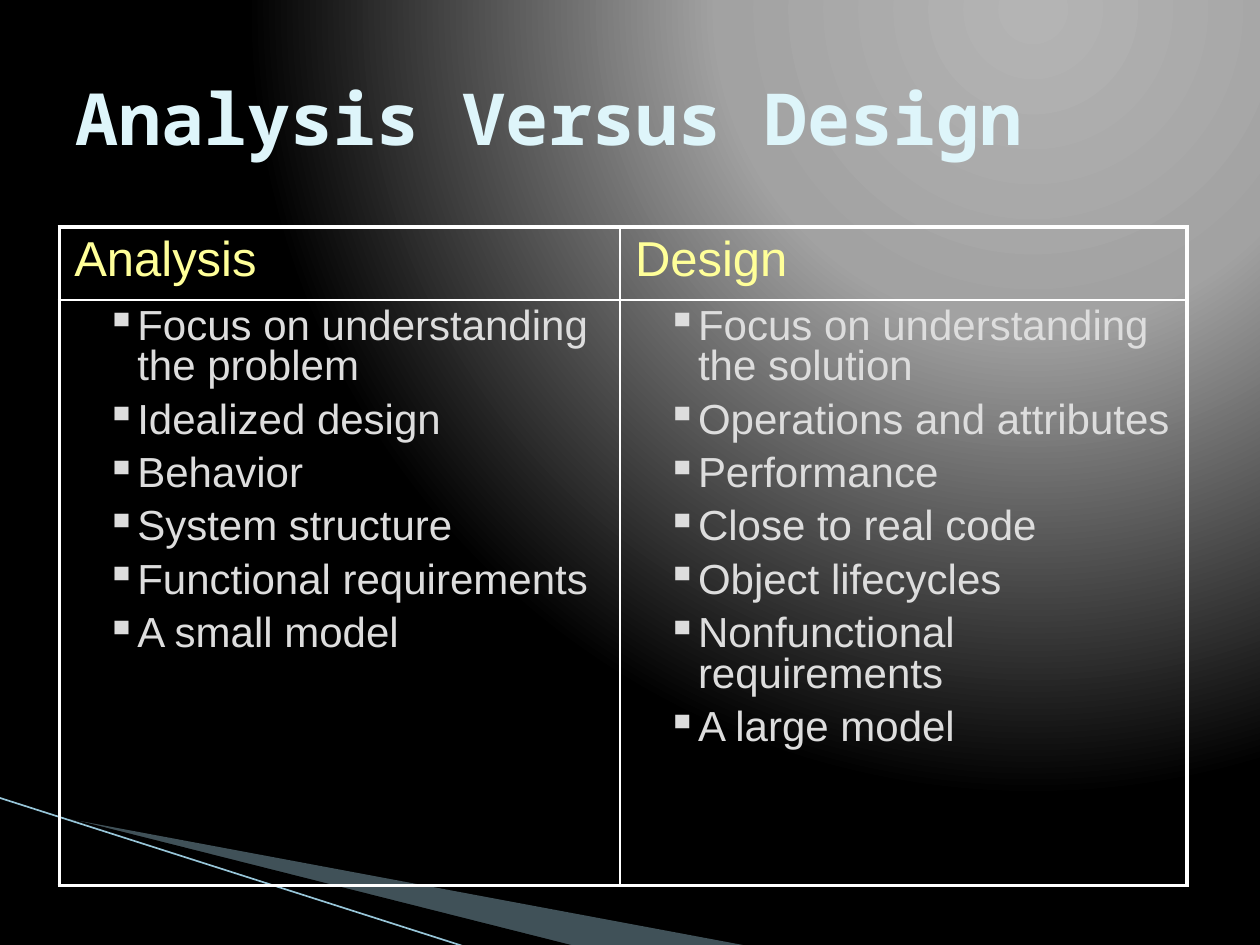
from dataclasses import dataclass

from pptx import Presentation
from pptx.dml.color import RGBColor as RGB
from pptx.enum.shapes import MSO_CONNECTOR as CONNECTOR
from pptx.enum.text import MSO_ANCHOR as ANCHOR, PP_ALIGN as ALIGN
from pptx.oxml import parse_xml
from pptx.oxml.ns import nsdecls
from pptx.util import Inches, Pt

NS = nsdecls("a", "p")


@dataclass(frozen=True)
class Theme:
    """Colours, fonts and sizes of the slide."""
    glow: tuple = ((0, "B4B4B4"), (40, "A2A2A2"), (100, "000000"))
    title: str = "DEF5FA"
    heading: str = "FFFF99"
    body: str = "DDDDDD"
    border: str = "FFFFFF"
    wedge: str = "A0CBDC"
    shade: str = "000000"
    streak: str = "97C5D8"
    title_font: str = "Noto Sans Mono"
    body_font: str = "Arial"
    title_pt: int = 41
    heading_pt: int = 28
    body_pt: int = 24
    outer_pt: float = 2.25
    inner_pt: float = 1
    streak_pt: float = 0.95


T = Theme()

COLUMNS = {
    "Analysis": [
        "Focus on understanding the problem", "Idealized design", "Behavior",
        "System structure", "Functional requirements", "A small model"],
    "Design": [
        "Focus on understanding the solution", "Operations and attributes",
        "Performance", "Close to real code", "Object lifecycles",
        "Nonfunctional requirements", "A large model"],
}


def style_run(p, font, size, color, bold=False):
    """Format the single run of a paragraph."""
    f = p.runs[0].font
    f.name, f.size, f.bold = font, Pt(size), bold
    f.color.rgb = RGB.from_string(color)


def add_background(s):
    """Fill the slide with a radial glow from the upper right."""
    stops = "".join(
        f'<a:gs pos="{pos * 1000}"><a:srgbClr val="{c}"/></a:gs>' for pos, c in T.glow)
    s._element.cSld.insert(0, parse_xml(
        f'<p:bg {NS}><p:bgPr><a:gradFill rotWithShape="1"><a:gsLst>{stops}</a:gsLst>'
        '<a:path path="circle"><a:fillToRect l="65000" t="0" r="0" b="98000"/></a:path>'
        '</a:gradFill><a:effectLst/></p:bgPr></p:bg>'))


def add_wedge(s, points, color, alpha=None):
    """Draw a closed, unlined polygon through points in inches."""
    start, *rest = [(Inches(x), Inches(y)) for x, y in points]
    builder = s.shapes.build_freeform(*start)
    builder.add_line_segments(rest, close=True)
    sp = builder.convert_to_shape()
    sp.shadow.inherit = False
    sp.fill.solid()
    sp.fill.fore_color.rgb = RGB.from_string(color)
    sp.line.fill.background()
    if alpha is not None:
        clr = sp._element.spPr.find(".//{*}solidFill/{*}srgbClr")
        clr.append(parse_xml(f'<a:alpha {NS} val="{alpha * 1000}"/>'))


def add_corner(s):
    """Draw the wedges and the streak in the lower left corner."""
    add_wedge(s, [(0.55, 6.5), (5.95, 7.51), (4.56, 7.51)], T.wedge, alpha=40)
    add_wedge(s, [(0.53, 6.49), (4.57, 7.51), (3.72, 7.52)], T.shade)
    streak = s.shapes.add_connector(
        CONNECTOR.STRAIGHT, Inches(-0.01), Inches(6.33), Inches(3.71), Inches(7.52))
    streak.line.color.rgb = RGB.from_string(T.streak)
    streak.line.width = Pt(T.streak_pt)
    streak._element.spPr.append(parse_xml(f'<a:effectLst {NS}/>'))


def add_title(s, text, box):
    """Place the title placeholder in its box, above the corner art."""
    sp = s.shapes.title
    sp.left, sp.top, sp.width, sp.height = map(Inches, box)
    s.shapes._spTree.append(sp._element)
    tf = sp.text_frame
    tf.text = text
    tf.vertical_anchor = ANCHOR.MIDDLE
    p = tf.paragraphs[0]
    p.alignment = ALIGN.LEFT
    style_run(p, T.title_font, T.title_pt, T.title, bold=True)


def space_paragraph(p, lines):
    """Set line spacing and a gap of 30% before the paragraph."""
    p.line_spacing = lines
    pPr = p._p.get_or_add_pPr()
    pPr.append(parse_xml(f'<a:spcBef {NS}><a:spcPct val="30000"/></a:spcBef>'))
    return pPr


def fill_heading(cell, text):
    """Write a column heading."""
    cell.text_frame.text = text
    cell.vertical_anchor = ANCHOR.MIDDLE
    p = cell.text_frame.paragraphs[0]
    space_paragraph(p, 0.8)
    style_run(p, T.body_font, T.heading_pt, T.heading)


def fill_list(cell, items):
    """Write a bulleted list."""
    cell.text_frame.text = "\n".join(items)
    for p in cell.text_frame.paragraphs:
        p.level = 1
        pPr = space_paragraph(p, 0.87)
        pPr.set("marL", str(Inches(0.5)))
        pPr.set("indent", str(Inches(-0.25)))
        pPr.append(parse_xml(f'<a:buClr {NS}><a:srgbClr val="{T.body}"/></a:buClr>'))
        pPr.append(parse_xml(f'<a:buChar {NS} char="▪"/>'))
        style_run(p, T.body_font, T.body_pt, T.body)


def frame_cell(cell, outer):
    """Set margins, borders and no fill; outer names the thick sides."""
    cell.margin_left = cell.margin_right = Inches(0.12)
    cell.margin_top = cell.margin_bottom = Inches(0.06)
    tcPr = cell._tc.get_or_add_tcPr()
    for side in "LRTB":
        width = Pt(T.outer_pt if side in outer else T.inner_pt)
        tcPr.append(parse_xml(
            f'<a:ln{side} {NS} w="{width}"><a:solidFill><a:srgbClr val="{T.border}"/>'
            f'</a:solidFill></a:ln{side}>'))
    cell.fill.background()


def add_comparison(s, columns, box, widths, heights):
    """Build a table with one heading and one list in each column."""
    table = s.shapes.add_table(2, len(columns), *map(Inches, box)).table
    table.first_row = table.horz_banding = False
    for row, height in zip(table.rows, heights):
        row.height = Inches(height)
    last = len(columns) - 1
    for i, (heading, items) in enumerate(columns.items()):
        table.columns[i].width = Inches(widths[i])
        head, body = table.cell(0, i), table.cell(1, i)
        fill_heading(head, heading)
        fill_list(body, items)
        sides = ("L" if i == 0 else "") + ("R" if i == last else "")
        frame_cell(head, sides + "T")
        frame_cell(body, sides + "B")


def main():
    """Build and save the slide."""
    prs = Presentation()
    prs.slide_width, prs.slide_height = Inches(10), Inches(7.5)
    s = prs.slides.add_slide(prs.slide_layouts[5])
    add_background(s)
    add_corner(s)
    add_title(s, "Analysis Versus Design", (0.5, 0.3, 9, 1.25))
    add_comparison(s, COLUMNS, (0.47, 1.8, 8.95, 5.23), (4.45, 4.5), (0.58, 4.65))
    prs.save("out.pptx")


main()
